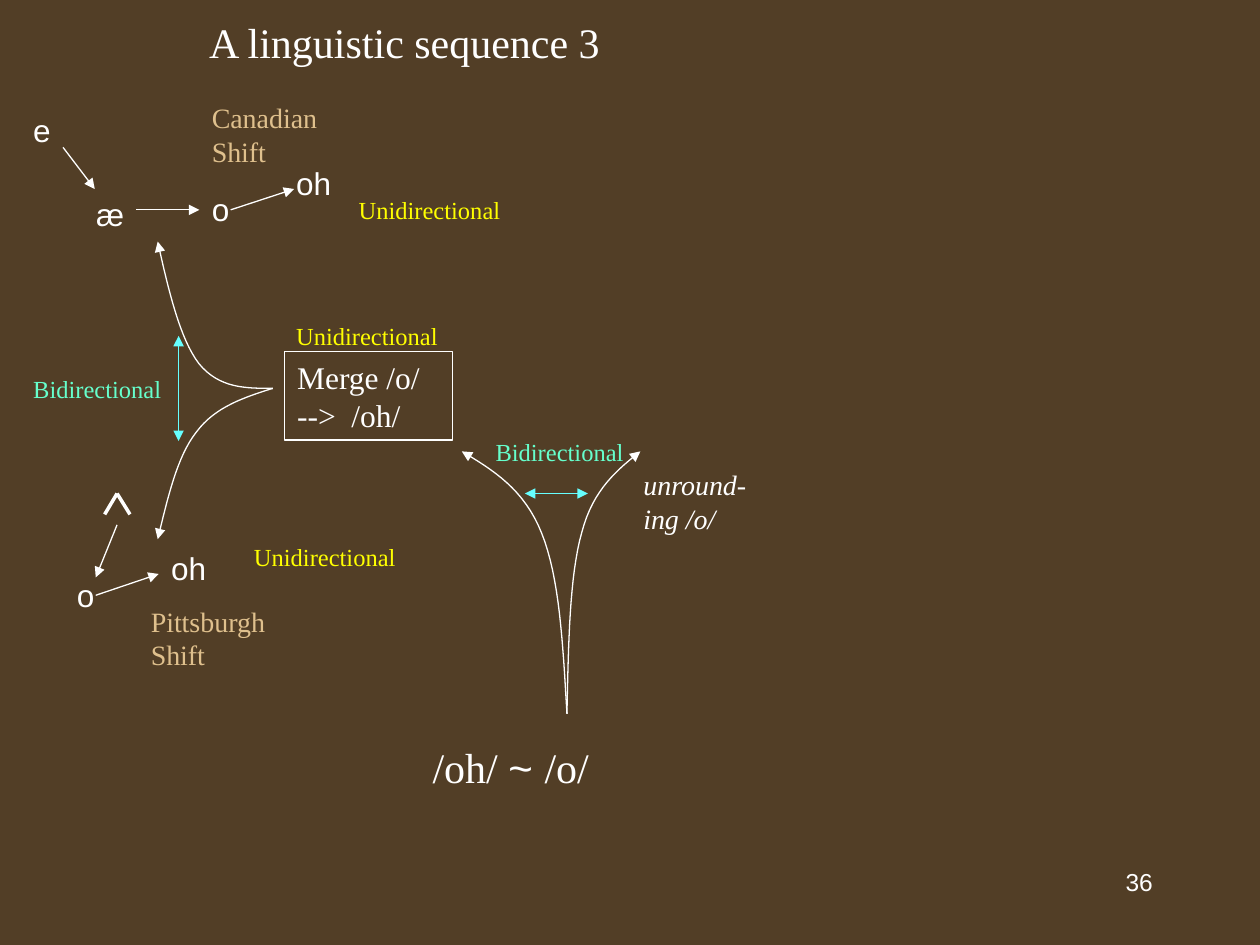
from pptx import Presentation
from pptx.dml.color import RGBColor
from pptx.enum.shapes import MSO_CONNECTOR, MSO_SHAPE
from pptx.enum.text import MSO_ANCHOR, PP_ALIGN
from pptx.oxml.ns import qn
from pptx.util import Cm, Pt
from lxml.etree import SubElement

BROWN = RGBColor(0x52, 0x3E, 0x26)
WHITE = RGBColor(0xFF, 0xFF, 0xFF)
TAN = RGBColor(0xDF, 0xC0, 0x8D)
YELLOW = RGBColor(0xFF, 0xFF, 0x00)
MINT = RGBColor(0x66, 0xFF, 0xCC)
CYAN = RGBColor(0x66, 0xFF, 0xFF)
SERIF, SANS = "Times New Roman", "Arial"
CURVE_STEPS = 16


def style_text(frame, text, size, face, color):
    frame.word_wrap = True
    paragraph = frame.paragraphs[0]
    paragraph.text = text
    font = paragraph.font
    font.size, font.name, font.color.rgb = Pt(size), face, color
    return paragraph


def style_line(stroke, color, width, ends):
    stroke.line.color.rgb = color
    stroke.line.width = Pt(width)
    for end in ends:
        SubElement(stroke.get_or_add_ln(), qn(f"a:{end}"), type="triangle")


deck = Presentation()
deck.slide_width, deck.slide_height = Cm(25.4), Cm(19.05)
slide = deck.slides.add_slide(deck.slide_layouts[5])
slide.background.fill.solid()
slide.background.fill.fore_color.rgb = BROWN
shapes = slide.shapes

# Title
title = shapes.title
title.left, title.top, title.width, title.height = Cm(0.64), Cm(0), Cm(15.03), Cm(1.69)
heading = style_text(title.text_frame, "A linguistic sequence 3", 24, SERIF, WHITE)
heading.alignment = PP_ALIGN.CENTER
title.text_frame.vertical_anchor = MSO_ANCHOR.MIDDLE

# Curved branches: start point, then two cubic segments of three points each
branches = [
    [(11.43, 14.39), (11.46, 13), (11.48, 11.61), (11.73, 10.73),
     (11.96, 9.86), (12.45, 9.47), (12.91, 9.1)],
    [(11.43, 14.39), (11.35, 13), (11.28, 11.63), (10.92, 10.75),
     (10.57, 9.86), (9.93, 9.47), (9.31, 9.1)],
    [(5.5, 7.83), (4.93, 8.01), (4.34, 8.2), (3.96, 8.71),
     (3.56, 9.22), (3.38, 10.06), (3.18, 10.87)],
    [(5.5, 7.83), (4.95, 7.83), (4.42, 7.83), (4.01, 7.33),
     (3.63, 6.83), (3.4, 5.87), (3.18, 4.87)],
]
for points in branches:
    route = []
    for first in (0, 3):
        for step in range(1, CURVE_STEPS + 1):
            t = step / CURVE_STEPS
            weights = ((1 - t) ** 3, 3 * t * (1 - t) ** 2, 3 * t ** 2 * (1 - t), t ** 3)
            x, y = (sum(w * p[axis] for w, p in zip(weights, points[first:first + 4]))
                    for axis in (0, 1))
            route.append((Cm(x), Cm(y)))
    start_x, start_y = points[0]
    builder = shapes.build_freeform(Cm(start_x), Cm(start_y))
    builder.add_line_segments(route, close=False)
    branch = builder.convert_to_shape()
    branch.fill.background()
    branch.shadow.inherit = False
    style_line(branch, WHITE, 0.75, ["tailEnd"])

# Merger box
merger = shapes.add_shape(MSO_SHAPE.RECTANGLE, Cm(5.74), Cm(7.09), Cm(3.38), Cm(1.78))
merger.fill.background()
merger.shadow.inherit = False
style_line(merger, WHITE, 0.75, [])
merger_text = style_text(merger.text_frame, "Merge /o/ -->  /oh/", 18, SERIF, WHITE)
merger_text.alignment = PP_ALIGN.LEFT
merger.text_frame.vertical_anchor = MSO_ANCHOR.TOP

# Labels by kind: size, face, colour, width, height, then text and position
label_groups = [
    (18, SANS, WHITE, 2.12, 1.02, [
        ("e", 0.42, 2.12), ("æ", 1.69, 3.81), ("o", 4.02, 3.71),
        ("oh", 5.72, 3.18), ("oh", 3.2, 10.95), ("o", 1.3, 11.48)]),
    (16, SERIF, TAN, 3.18, 1.63, [
        ("Canadian Shift", 4.02, 1.91), ("Pittsburgh Shift", 2.79, 12.06)]),
    (14, SERIF, YELLOW, 3.6, 0.86, [
        ("Unidirectional", 6.98, 3.81), ("Unidirectional", 5.72, 6.35),
        ("Unidirectional", 4.87, 10.8)]),
    (14, SERIF, MINT, 3.6, 0.86, [
        ("Bidirectional", 0.42, 7.41), ("Bidirectional", 9.74, 8.68)]),
]
for size, face, color, width, height, labels in label_groups:
    for text, left, top in labels:
        label = shapes.add_textbox(Cm(left), Cm(top), Cm(width), Cm(height))
        style_text(label.text_frame, text, size, face, color)

# Unrounding note
unrounding = shapes.add_textbox(Cm(12.72), Cm(9.31), Cm(2.75), Cm(1.63))
style_text(unrounding.text_frame, "unround-ing /o/", 16, SERIF, WHITE).font.italic = True

# Starting contrast, with the tilde in the sans face
contrast = shapes.add_textbox(Cm(8.47), Cm(14.82), Cm(7.2), Cm(1.27))
contrast_text = style_text(contrast.text_frame, "/oh/ ", 24, SERIF, WHITE)
for text, face in (("~ ", SANS), ("/o/", SERIF)):
    part = contrast_text.add_run()
    part.text = text
    part.font.name = face

# Slide number
number = shapes.add_textbox(Cm(18.21), Cm(17.35), Cm(5.28), Cm(1.27))
style_text(number.text_frame, "36", 14, SANS, WHITE).alignment = PP_ALIGN.RIGHT

# Straight lines by kind: shifts, wedge, two-way arrows
line_groups = [
    (WHITE, 0.75, ["tailEnd"], [
        (1.27, 2.97, 1.91, 3.81), (2.75, 4.23, 4.02, 4.23), (4.65, 4.23, 5.93, 3.81),
        (1.93, 12, 3.2, 11.57), (2.36, 10.58, 1.93, 11.64)]),
    (WHITE, 2, [], [(2.36, 9.95, 2.11, 10.37), (2.36, 9.95, 2.62, 10.37)]),
    (CYAN, 0.75, ["headEnd", "tailEnd"], [
        (10.58, 9.95, 11.85, 9.95), (3.6, 8.89, 3.6, 6.77)]),
]
for color, width, ends, lines in line_groups:
    for line in lines:
        arrow = shapes.add_connector(MSO_CONNECTOR.STRAIGHT, *(Cm(v) for v in line))
        style_line(arrow, color, width, ends)
        SubElement(arrow.element.spPr, qn("a:effectLst"))

deck.save("out.pptx")
